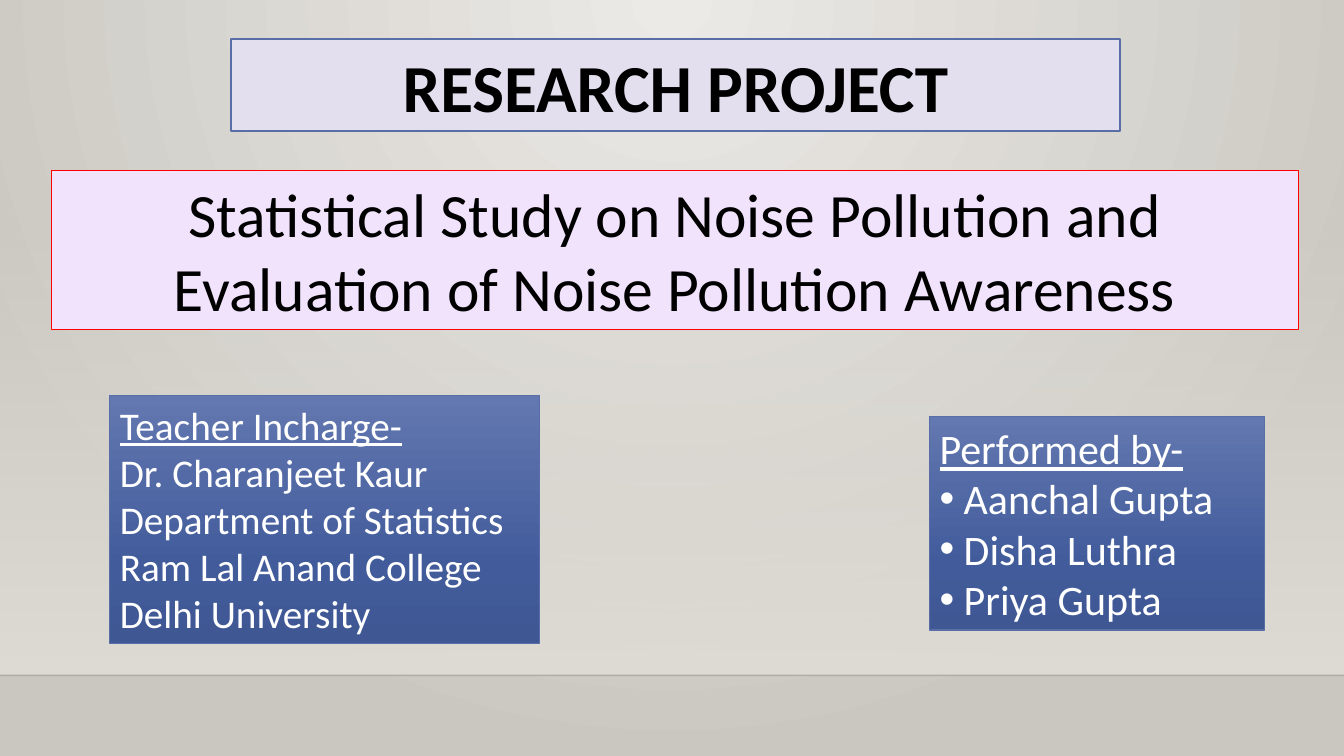
from pptx import Presentation
from pptx.dml.color import RGBColor
from pptx.enum.shapes import MSO_CONNECTOR, MSO_SHAPE
from pptx.enum.text import MSO_ANCHOR, PP_ALIGN
from pptx.oxml import parse_xml
from pptx.oxml.ns import nsdecls, qn
from pptx.util import Inches, Pt
from lxml.etree import SubElement

WIDTH, HEIGHT = Inches(13.33), Inches(7.5)
FLOOR = 89.33
FONT = "Calibri"
COLORS = {
    "glow": "ECEAE7",
    "edge": "CAC7C1",
    "wall": "DFDBD5",
    "floor_line": "000001",
    "title": "E4DFEF",
    "topic": "F2E3FC",
    "red": "FF0000",
    "blue_line": "586EA6",
    "blue_top": "6378B0",
    "blue_middle": "425B9B",
    "blue_bottom": "3F5793",
    "black": "000000",
    "white": "FFFFFF",
}
DOWNWARD = '<a:lin ang="5400000" scaled="0"/>'
FROM_TOP = '<a:path path="circle"><a:fillToRect l="43000" r="43000" b="100000"/></a:path>'
BLUE_STOPS = [(0, "blue_top", 100), (69, "blue_middle", 100), (100, "blue_bottom", 100)]


def rgb(name):
    return RGBColor.from_string(COLORS[name])


def share(left, top, width, height):
    """Turn percentages of the slide into lengths."""
    return [int(part * full / 100) for part, full in
            zip((left, top, width, height), (WIDTH, HEIGHT) * 2)]


def set_gradient(owner, fill, stops, direction):
    """Fill with stops of (position, colour name, opacity), in percent."""
    fill.gradient()
    stop_xml = "".join(
        f'<a:gs pos="{position * 1000}"><a:srgbClr val="{COLORS[name]}">'
        f'<a:alpha val="{opacity * 1000}"/></a:srgbClr></a:gs>'
        for position, name, opacity in stops)
    gradient = parse_xml(f'<a:gradFill {nsdecls("a")} rotWithShape="1">'
                         f'<a:gsLst>{stop_xml}</a:gsLst>{direction}</a:gradFill>')
    present = owner.element.find(f".//{qn('a:gradFill')}")
    present.getparent().replace(present, gradient)


def add_rectangle(slide, place):
    shape = slide.shapes.add_shape(MSO_SHAPE.RECTANGLE, *share(*place))
    shape.shadow.inherit = False
    return shape


def add_backdrop(slide):
    set_gradient(slide, slide.background.fill,
                 [(0, "glow", 100), (100, "edge", 100)], FROM_TOP)
    wall = add_rectangle(slide, (0, 29.47, 100, FLOOR - 29.47))
    wall.line.fill.background()
    set_gradient(wall, wall.fill, [(0, "wall", 0), (100, "wall", 100)], DOWNWARD)

    left, top, width, _ = share(0, FLOOR, 100, 0)
    line = slide.shapes.add_connector(MSO_CONNECTOR.STRAIGHT, left, top, width, top)
    line.line.color.rgb = rgb("floor_line")
    line.line.width = Pt(1)
    color = line.element.find(f".//{qn('a:srgbClr')}")
    SubElement(color, qn("a:alpha")).set("val", "20000")
    SubElement(line.element.spPr, qn("a:effectLst"))


def add_text_panel(slide, place, lines, size, color, align, border, border_width):
    panel = add_rectangle(slide, place)
    panel.line.color.rgb = rgb(border)
    panel.line.width = Pt(border_width)
    frame = panel.text_frame
    frame.word_wrap = True
    frame.vertical_anchor = MSO_ANCHOR.MIDDLE
    frame.text = "\n".join(lines)
    for paragraph in frame.paragraphs:
        paragraph.alignment = align
        font = paragraph.runs[0].font
        font.name, font.size = FONT, Pt(size)
        font.color.rgb = rgb(color)
    return panel


def add_heading(slide, place, text, size, fill, border, border_width, bold=False):
    panel = add_text_panel(slide, place, [text], size, "black", PP_ALIGN.CENTER,
                           border, border_width)
    panel.fill.solid()
    panel.fill.fore_color.rgb = rgb(fill)
    panel.text_frame.paragraphs[0].runs[0].font.bold = bold


def add_people(slide, place, lines, size, bulleted=False):
    """Blue panel whose first line is an underlined label."""
    panel = add_text_panel(slide, place, lines, size, "white", PP_ALIGN.LEFT,
                           "blue_line", 0.75)
    set_gradient(panel, panel.fill, BLUE_STOPS, DOWNWARD)
    label, *entries = panel.text_frame.paragraphs
    label.runs[0].font.underline = True
    if bulleted:
        for entry in entries:
            properties = entry._p.get_or_add_pPr()
            SubElement(properties, qn("a:buFont")).set("typeface", "Arial")
            SubElement(properties, qn("a:buChar")).set("char", "•")


def main():
    presentation = Presentation()
    presentation.slide_width, presentation.slide_height = WIDTH, HEIGHT
    slide = presentation.slides.add_slide(presentation.slide_layouts[6])
    add_backdrop(slide)
    add_heading(slide, (17.18, 5.2, 66.17, 12.13), "RESEARCH PROJECT",
                48, "title", "blue_line", 1.25, bold=True)
    add_heading(slide, (3.83, 22.53, 92.8, 21.07),
                "Statistical Study on Noise Pollution and "
                "Evaluation of Noise Pollution Awareness",
                44, "topic", "red", 0.75)
    add_people(slide, (8.18, 52.27, 31.96, 32.8),
               ["Teacher Incharge-", "Dr. Charanjeet Kaur", "Department of Statistics",
                "Ram Lal Anand College", "Delhi University"], 28)
    add_people(slide, (69.17, 55.07, 24.91, 28.27),
               ["Performed by-", " Aanchal Gupta", " Disha Luthra", " Priya Gupta"],
               30, bulleted=True)
    presentation.save("out.pptx")


if __name__ == "__main__":
    main()
